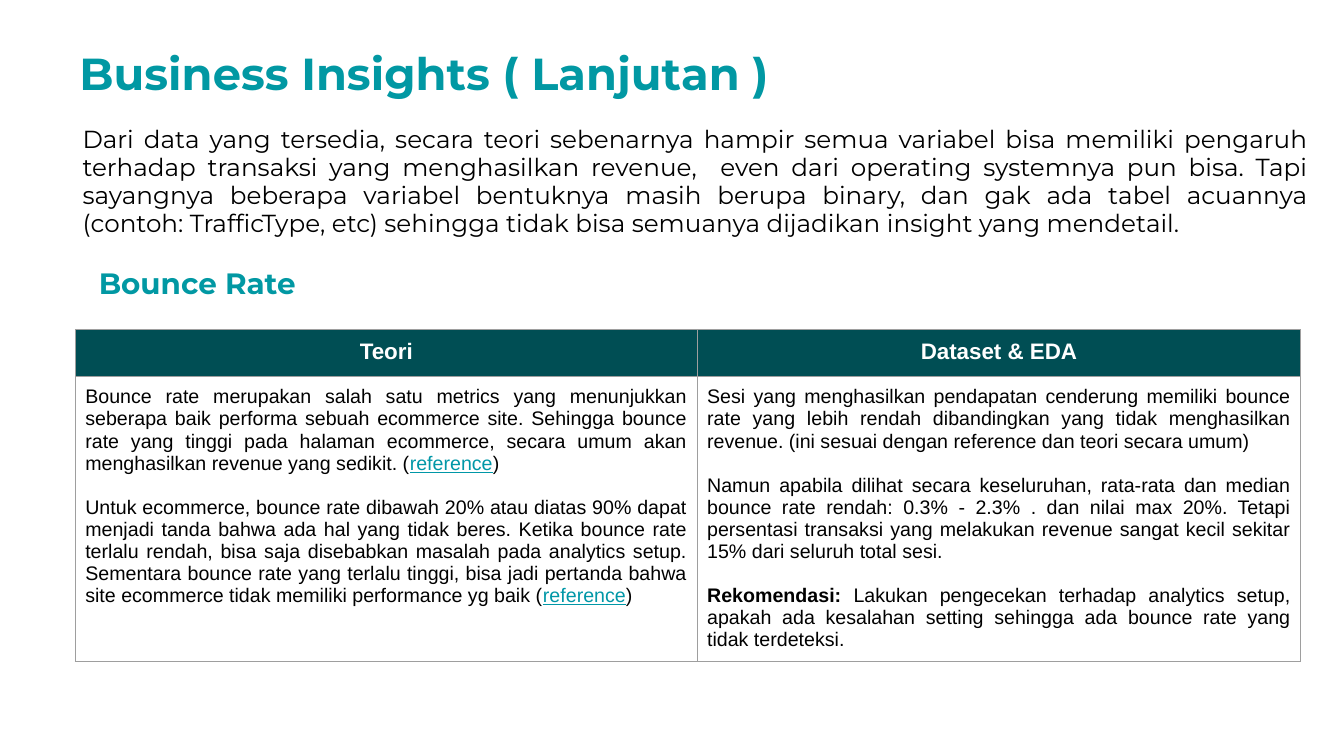
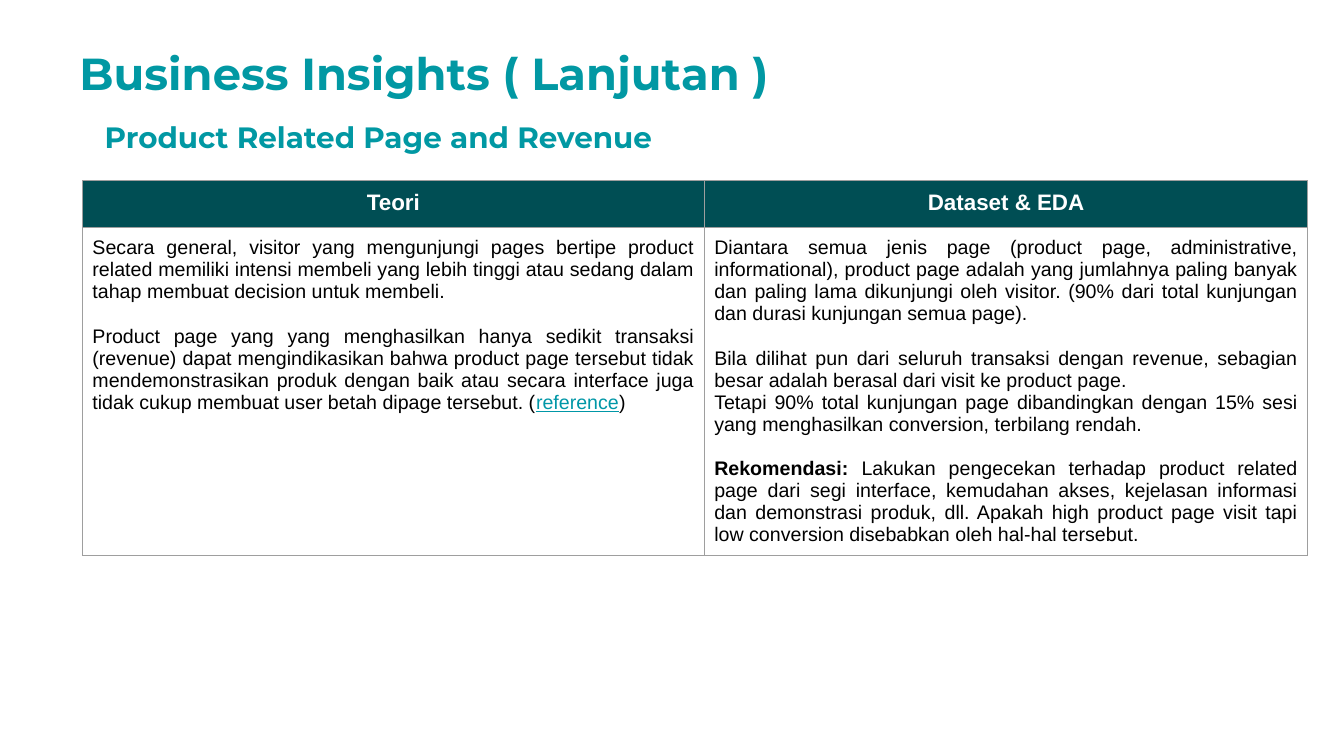
"""Build two slides of business insights, each with a theory and data table."""
from lxml import etree
from pptx import Presentation
from pptx.dml.color import RGBColor
from pptx.enum.text import MSO_ANCHOR, MSO_AUTO_SIZE, PP_ALIGN
from pptx.oxml.ns import qn
from pptx.util import Cm, Pt

TOP = MSO_ANCHOR.TOP
FIXED = MSO_AUTO_SIZE.NONE
LEFT, CENTER, JUST = PP_ALIGN.LEFT, PP_ALIGN.CENTER, PP_ALIGN.JUSTIFY

TEAL = RGBColor(0x01, 0x98, 0xA3)
DARK = RGBColor(0x00, 0x4E, 0x54)
LINK = RGBColor(0x00, 0x97, 0xA7)
GRAY = RGBColor(0x9E, 0x9E, 0x9E)
BLACK = RGBColor(0, 0, 0)
WHITE = RGBColor(255, 255, 255)
HEAD, TEXT = "Montserrat", "Arial"

TITLE = "Business Insights ( Lanjutan )"
NAMES = ("Teori", "Dataset & EDA")
WIDTHS = (15.67, 15.21)
GAP = 16
REF = ("reference", "link")
END = (")", "plain")
ADVICE = ("Rekomendasi:", "bold")

INTRO = (
    "Dari data yang tersedia, secara teori sebenarnya hampir semua variabel bisa "
    "memiliki pengaruh terhadap transaksi yang menghasilkan revenue,  even dari "
    "operating systemnya pun bisa. Tapi sayangnya beberapa variabel bentuknya masih "
    "berupa binary, dan gak ada tabel acuannya (contoh: TrafficType, etc) sehingga "
    "tidak bisa semuanya dijadikan insight yang mendetail."
)

BOUNCE = (
    [
        (0, [(
            "Bounce rate merupakan salah satu metrics yang menunjukkan seberapa baik "
            "performa sebuah ecommerce site. Sehingga bounce rate yang tinggi pada "
            "halaman ecommerce, secara umum akan menghasilkan revenue yang sedikit. (",
            "plain"), REF, END]),
        (GAP, [(
            "Untuk ecommerce, bounce rate dibawah 20% atau diatas 90% dapat menjadi "
            "tanda bahwa ada hal yang tidak beres. Ketika bounce rate terlalu rendah, "
            "bisa saja disebabkan masalah pada analytics setup. Sementara bounce rate "
            "yang terlalu tinggi, bisa jadi pertanda bahwa site ecommerce tidak "
            "memiliki performance yg baik (", "plain"), REF, END]),
    ],
    [
        (0, [(
            "Sesi yang menghasilkan pendapatan cenderung memiliki bounce rate yang "
            "lebih rendah dibandingkan yang tidak menghasilkan revenue. (ini sesuai "
            "dengan reference dan teori secara umum)", "plain")]),
        (GAP, [(
            "Namun apabila dilihat secara keseluruhan, rata-rata dan median bounce "
            "rate rendah: 0.3% - 2.3% . dan nilai max 20%. Tetapi persentasi transaksi "
            "yang melakukan revenue sangat kecil sekitar 15% dari seluruh total sesi.",
            "plain")]),
        (GAP, [ADVICE, (
            " Lakukan pengecekan terhadap analytics setup, apakah ada kesalahan "
            "setting sehingga ada bounce rate yang tidak terdeteksi.", "plain")]),
    ],
)

PRODUCT = (
    [
        (0, [(
            "Secara general, visitor yang mengunjungi pages bertipe product related "
            "memiliki intensi membeli yang lebih tinggi atau sedang dalam tahap "
            "membuat decision untuk membeli.", "plain")]),
        (GAP, [(
            "Product page yang yang menghasilkan hanya sedikit transaksi (revenue) "
            "dapat mengindikasikan bahwa product page tersebut tidak "
            "mendemonstrasikan produk dengan baik atau secara interface juga tidak "
            "cukup membuat user betah dipage tersebut. (", "plain"), REF, END]),
    ],
    [
        (0, [(
            "Diantara semua jenis page (product page, administrative, "
            "informational), product page adalah yang jumlahnya paling banyak dan "
            "paling lama dikunjungi oleh visitor. (90% dari total kunjungan dan "
            "durasi kunjungan semua page).", "plain")]),
        (GAP, [(
            "Bila dilihat pun dari seluruh transaksi dengan revenue, sebagian besar "
            "adalah berasal dari visit ke product page.", "plain")]),
        (0, [(
            "Tetapi 90% total kunjungan page dibandingkan dengan 15% sesi yang "
            "menghasilkan conversion, terbilang rendah.", "plain")]),
        (GAP, [ADVICE, (
            " Lakukan pengecekan terhadap product related page dari segi interface, "
            "kemudahan akses, kejelasan informasi dan demonstrasi produk, dll. Apakah "
            "high product page visit tapi low conversion disebabkan oleh hal-hal "
            "tersebut.", "plain")]),
    ],
)

SLIDES = (
    (1, INTRO, "Bounce Rate", (2.24, 6.53), (1.9, 8.31), 7.16, BOUNCE),
    (5, None, "Product Related Page and Revenue", (2.39, 2.84), (2.08, 4.55), 8.27, PRODUCT),
)


def add_run(par, text, face, size, color, bold=False, under=False):
    run = par.add_run()
    run.text = text
    font = run.font
    font.name, font.size = face, Pt(size)
    font.bold, font.underline = bold, under
    font.color.rgb = color


def set_box(shape, box, pad, align, lead):
    shape.left, shape.top, shape.width, shape.height = map(Cm, box)
    frame = shape.text_frame
    frame.word_wrap = True
    frame.auto_size = FIXED
    frame.vertical_anchor = TOP
    frame.margin_left, frame.margin_top, frame.margin_right, frame.margin_bottom = map(Cm, pad * 2)
    par = frame.paragraphs[0]
    par.alignment, par.line_spacing = align, lead
    par.space_before = Pt(0)
    return par


deck = Presentation()
deck.slide_width, deck.slide_height = Cm(33.87), Cm(19.05)

for layout, intro, topic, spot, place, depth, columns in SLIDES:
    slide = deck.slides.add_slide(deck.slide_layouts[layout])
    par = set_box(slide.shapes.title, (1.75, 0.97, 20.42, 1.42), (0.25, 0.13), LEFT, 1.03)
    add_run(par, TITLE, HEAD, 32, TEAL, True)

    if intro:
        body = slide.placeholders[1]
        par = set_box(body, (1.75, 2.84, 31.55, 3.68), (0.33, 0.33), JUST, 0.95)
        props = par._p.get_or_add_pPr()
        props.set("marL", "0")
        props.set("indent", "0")
        etree.SubElement(props, qn("a:buNone"))
        add_run(par, intro, HEAD, 17.6, BLACK)

    label = slide.shapes.add_textbox(0, 0, 0, 0)
    par = set_box(label, (*spot, 20.42, 0.74), (0.25, 0.13), LEFT, 1.03)
    add_run(par, topic, HEAD, 21, TEAL, True)

    heights = (1.17, depth)
    size = (sum(WIDTHS), sum(heights))
    table = slide.shapes.add_table(2, 2, *map(Cm, place + size)).table
    for row, height in zip(table.rows, heights):
        row.height = Cm(height)
    for col, (name, width, paras) in enumerate(zip(NAMES, WIDTHS, columns)):
        table.columns[col].width = Cm(width)
        top, cell = table.cell(0, col), table.cell(1, col)
        for box in (top, cell):
            box.margin_left = box.margin_right = Cm(0.25)
            box.margin_top = box.margin_bottom = Cm(0.25)
            props = box._tc.get_or_add_tcPr()
            for side in ("a:lnL", "a:lnR", "a:lnT", "a:lnB"):
                line = etree.SubElement(props, qn(side), w=str(Pt(0.75)))
                fill = etree.SubElement(line, qn("a:solidFill"))
                etree.SubElement(fill, qn("a:srgbClr"), val=str(GRAY))
        top.fill.solid()
        top.fill.fore_color.rgb = DARK
        cell.fill.background()

        par = top.text_frame.paragraphs[0]
        par.alignment = CENTER
        add_run(par, name, TEXT, 16, WHITE, True)

        frame = cell.text_frame
        for num, (gap, runs) in enumerate(paras):
            par = frame.add_paragraph() if num else frame.paragraphs[0]
            par.alignment = JUST
            if gap:
                par.space_before = Pt(gap)
            for text, kind in runs:
                link = kind == "link"
                add_run(par, text, TEXT, 14, LINK if link else BLACK, kind == "bold", link)

deck.save("out.pptx")
